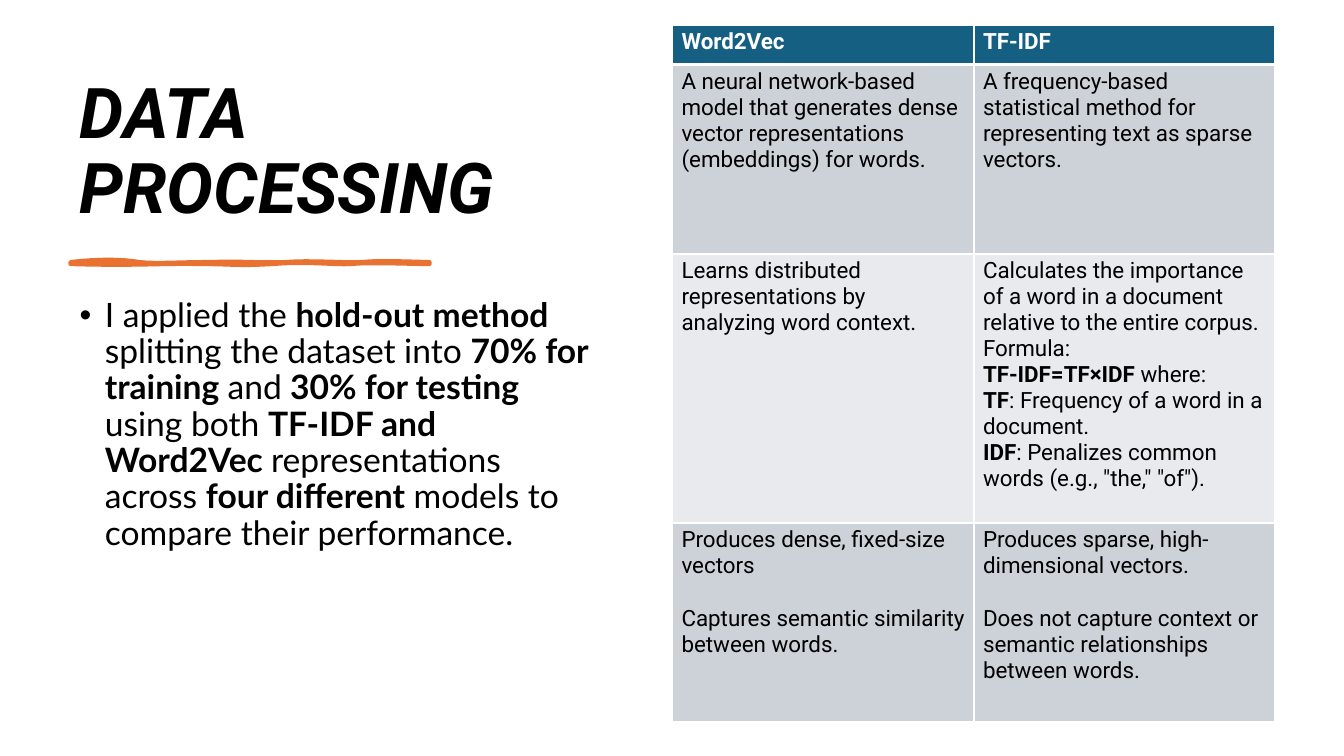
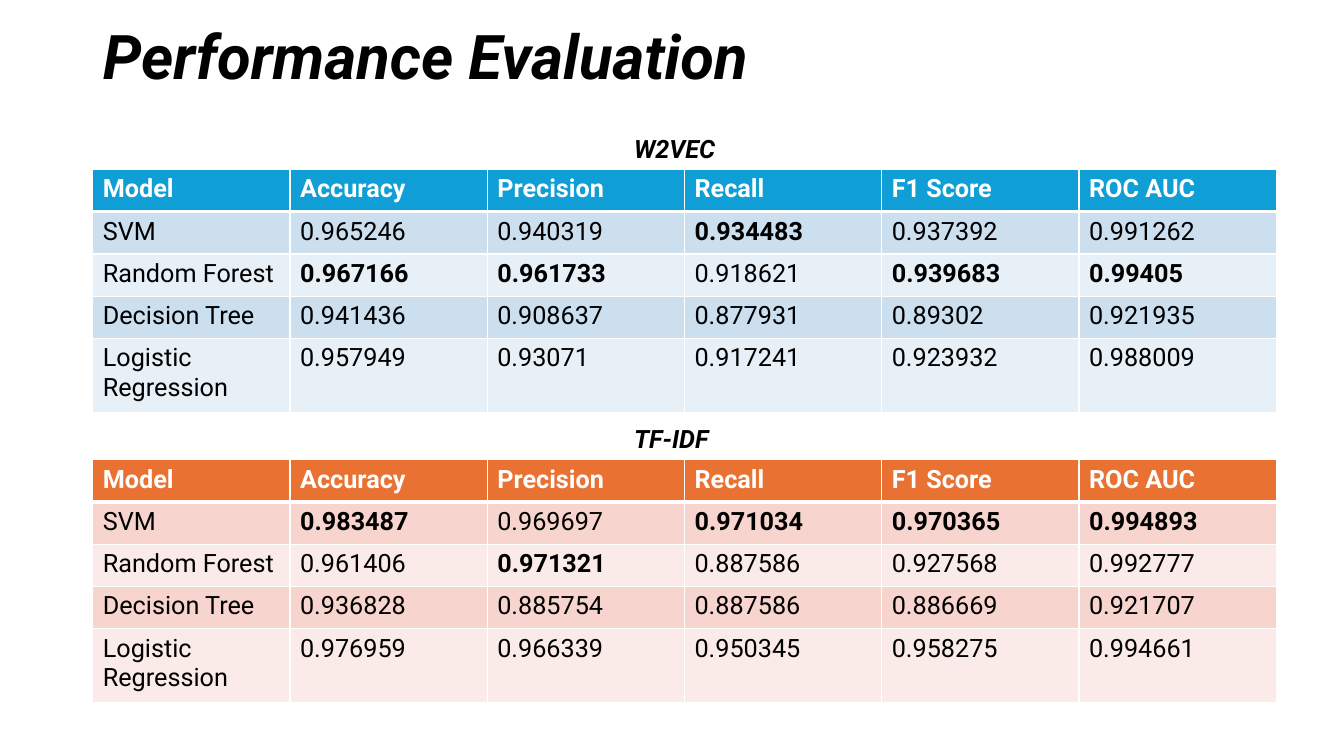
from lxml.etree import SubElement
from pptx import Presentation
from pptx.dml.color import RGBColor as RGB
from pptx.enum.text import MSO_ANCHOR as ANCHOR, MSO_AUTO_SIZE as AUTO, PP_ALIGN as ALIGN
from pptx.oxml.ns import qn
from pptx.util import Inches, Pt

COLORS = {
    "text": "000000", "white": "FFFFFF", "accent": "E97132",
    "navy": "156082", "navy_dark": "CCD2D8", "navy_light": "E8EAED",
    "blue": "0F9ED5", "blue_dark": "CCDFEF", "blue_light": "E7F0F7",
    "orange": "E97132", "orange_dark": "F7D5CE", "orange_light": "FBEBE8",
}
FONT, BODY_FONT = "Roboto", "Lato"
TITLE_ONLY, TITLE_BODY = 5, 1

# Wavy rule under the title: curve points in inches, three per cubic segment
RULE_TOP = [
    (0.7, 2.6), (0.97, 2.57), (1.21, 2.57), (1.38, 2.6), (1.55, 2.62), (1.77, 2.6),
    (2.09, 2.6), (2.41, 2.59), (2.6, 2.61), (2.84, 2.6), (3.08, 2.58), (3.39, 2.61),
    (3.59, 2.6), (3.79, 2.58), (4.12, 2.6), (4.26, 2.6)]
RULE_BOTTOM = [
    (4.26, 2.62), (4.08, 2.62), (3.64, 2.6), (3.48, 2.62), (3.32, 2.63), (3.04, 2.59),
    (2.7, 2.62), (2.35, 2.64), (2.31, 2.62), (1.99, 2.62), (1.66, 2.61), (1.32, 2.64),
    (0.7, 2.62)]

# Text: ** switches bold on and off, a list holds several paragraphs
METHOD = ("I applied the **hold-out method **splitting the dataset into **70% for training **and"
          "** 30% for testing **using both **TF-IDF and Word2Vec **representations across "
          "**four different** models to compare their performance.")
COMPARISON = [
    ["Word2Vec", "TF-IDF"],
    ["A neural network-based model that generates dense vector representations "
     "(embeddings) for words.",
     "A frequency-based statistical method for representing text as sparse vectors."],
    ["Learns distributed representations by analyzing word context.",
     ["Calculates the importance of a word in a document relative to the entire corpus.",
      "Formula:",
      "**TF-IDF=TF×IDF **where:",
      "**TF**: Frequency of a word in a document.",
      '**IDF**: Penalizes common words (e.g., "the," "of").']],
    [["Produces dense, fixed-size vectors", "Captures semantic similarity between words."],
     ["Produces sparse, high-dimensional vectors.",
      "Does not capture context or semantic relationships between words."]],
]
METRICS = ["Model", "Accuracy", "Precision", "Recall", "F1 Score", "ROC AUC"]
MODELS = ["SVM", "Random Forest", "Decision Tree", "Logistic Regression"]
# Label, colour, top of the label, scores by model
RESULTS = [
    ("W2VEC", "blue", 1.27, [
        ["0.965246", "0.940319", "0.934483", "0.937392", "0.991262"],
        ["0.967166", "0.961733", "0.918621", "0.939683", "0.99405"],
        ["0.941436", "0.908637", "0.877931", "0.89302", "0.921935"],
        ["0.957949", "0.93071", "0.917241", "0.923932", "0.988009"]]),
    ("TF-IDF", "orange", 4.15, [
        ["0.983487", "0.969697", "0.971034", "0.970365", "0.994893"],
        ["0.961406", "0.971321", "0.887586", "0.927568", "0.992777"],
        ["0.936828", "0.885754", "0.887586", "0.886669", "0.921707"],
        ["0.976959", "0.966339", "0.950345", "0.958275", "0.994661"]]),
]


def rgb(name):
    return RGB.from_string(COLORS[name])


def curve(pts, steps=8):
    """Points along a chain of cubic curves, in EMU."""
    out = [pts[0]]
    for i in range(0, len(pts) - 1, 3):
        a, b, c, d = pts[i:i + 4]
        for n in range(1, steps + 1):
            t = n / steps
            u = 1 - t
            out.append(tuple(u**3 * a[k] + 3 * u * u * t * b[k] + 3 * u * t * t * c[k]
                             + t**3 * d[k] for k in (0, 1)))
    return [(Inches(x), Inches(y)) for x, y in out]


def mark_best(scores):
    """Make the highest score of each column bold."""
    best = [max(col, key=float) for col in zip(*scores)]
    return [[f"**{v}**" if v == top else v for v, top in zip(row, best)] for row in scores]


class Deck:
    def __init__(self):
        self.prs = Presentation()
        self.prs.slide_width, self.prs.slide_height = Inches(13.33), Inches(7.5)
        self.s = None

    def slide(self, layout):
        self.s = self.prs.slides.add_slide(self.prs.slide_layouts[layout])

    def add_text(self, p, text, size, color="text", font=FONT, bold=False, italic=False):
        for i, part in enumerate(text.split("**")):
            if part:
                r = p.add_run()
                r.text = part
                fmt = {"name": font, "size": Pt(size), "bold": bold or i % 2 == 1,
                       "italic": italic}
                for key, value in fmt.items():
                    setattr(r.font, key, value)
                r.font.color.rgb = rgb(color)

    def place(self, sp, box, anchor):
        sp.left, sp.top, sp.width, sp.height = map(Inches, box)
        tf = sp.text_frame
        fmt = {"word_wrap": True, "auto_size": AUTO.NONE, "vertical_anchor": anchor}
        for key, value in fmt.items():
            setattr(tf, key, value)
        p = tf.paragraphs[0]
        fmt = {"alignment": ALIGN.LEFT, "line_spacing": 0.9, "space_before": Pt(0)}
        for key, value in fmt.items():
            setattr(p, key, value)
        return p

    def title(self, text, box, size, anchor):
        p = self.place(self.s.shapes.title, box, anchor)
        self.add_text(p, text, size, bold=True, italic=True)

    def bullet(self, text, box):
        p = self.place(self.s.placeholders[1], box, ANCHOR.TOP)
        pPr = p._p.get_or_add_pPr()
        pPr.set("marL", str(Inches(0.25)))
        pPr.set("indent", str(-Inches(0.25)))
        SubElement(pPr, qn("a:buFont"), typeface="Arial")
        SubElement(pPr, qn("a:buChar"), char="•")
        self.add_text(p, text, 24, font=BODY_FONT)

    def label(self, text, box):
        tf = self.s.shapes.add_textbox(*map(Inches, box)).text_frame
        tf.word_wrap, tf.auto_size = False, AUTO.SHAPE_TO_FIT_TEXT
        self.add_text(tf.paragraphs[0], text, 18, bold=True, italic=True)

    def rule(self):
        start, *rest = curve(RULE_TOP) + curve(RULE_BOTTOM)
        fb = self.s.shapes.build_freeform(*start)
        fb.add_line_segments(rest, close=True)
        sp = fb.convert_to_shape()
        sp.shadow.inherit = False
        sp.fill.solid()
        sp.fill.fore_color.rgb = sp.line.color.rgb = rgb("accent")
        sp.line.width = Pt(3)

    def borders(self, cell, top, bottom):
        tcPr = cell._tc.get_or_add_tcPr()
        for side, width in {"L": 1, "R": 1, "T": top, "B": bottom}.items():
            ln = SubElement(tcPr, qn("a:ln" + side), w=str(Pt(width)))
            fill = SubElement(ln, qn("a:solidFill"))
            SubElement(fill, qn("a:srgbClr"), val=COLORS["white"])

    def table(self, rows, at, widths, heights, color, size, margins, gap=0):
        """gap is the space before the paragraphs of the last row, after the first."""
        box = (*at, sum(widths), sum(heights))
        tbl = self.s.shapes.add_table(len(rows), len(widths), *map(Inches, box)).table
        for col, width in zip(tbl.columns, widths):
            col.width = Inches(width)
        for i, (row, height) in enumerate(zip(rows, heights)):
            tbl.rows[i].height = Inches(height)
            fill = color if i == 0 else color + ("_dark" if i % 2 else "_light")
            for j, text in enumerate(row):
                cell = tbl.cell(i, j)
                cell.margin_left = cell.margin_right = Inches(margins[0])
                cell.margin_top = cell.margin_bottom = Inches(margins[1])
                self.borders(cell, 3 if i == 1 else 1, 3 if i == 0 else 1)
                cell.fill.solid()
                cell.fill.fore_color.rgb = rgb(fill)
                tf = cell.text_frame
                for n, line in enumerate([text] if isinstance(text, str) else text):
                    p = tf.add_paragraph() if n else tf.paragraphs[0]
                    if n and i == len(rows) - 1:
                        p.space_before = Pt(gap)
                    self.add_text(p, line, size, "text" if i else "white", bold=i == 0)


def main():
    deck = Deck()

    # Data processing
    deck.slide(TITLE_BODY)
    deck.title("DATA PROCESSING", (0.69, 0.7, 5.27, 1.62), 50, ANCHOR.BOTTOM)
    deck.rule()
    deck.bullet(METHOD, (0.69, 2.91, 5.27, 3.88))
    deck.table(COMPARISON, (6.67, 0.25), [2.99, 2.98], [0.39, 1.88, 2.67, 1.97],
               "navy", 16, (0.09, 0.04), gap=18.75)

    # Performance evaluation
    deck.slide(TITLE_ONLY)
    deck.title("Performance Evaluation", (0.92, -0.13, 11.5, 1.45), 44, ANCHOR.MIDDLE)
    for name, color, top, scores in RESULTS:
        rows = [METRICS] + [[m, *vals] for m, vals in zip(MODELS, mark_best(scores))]
        deck.label(name, (6.19, top, 1.05, 0.4))
        deck.table(rows, (0.92, top + 0.41), [11.74 / 6] * 6, [0.42] * 4 + [0.73],
                   color, 18, (0.1, 0.05))

    deck.prs.save("out.pptx")


if __name__ == "__main__":
    main()
